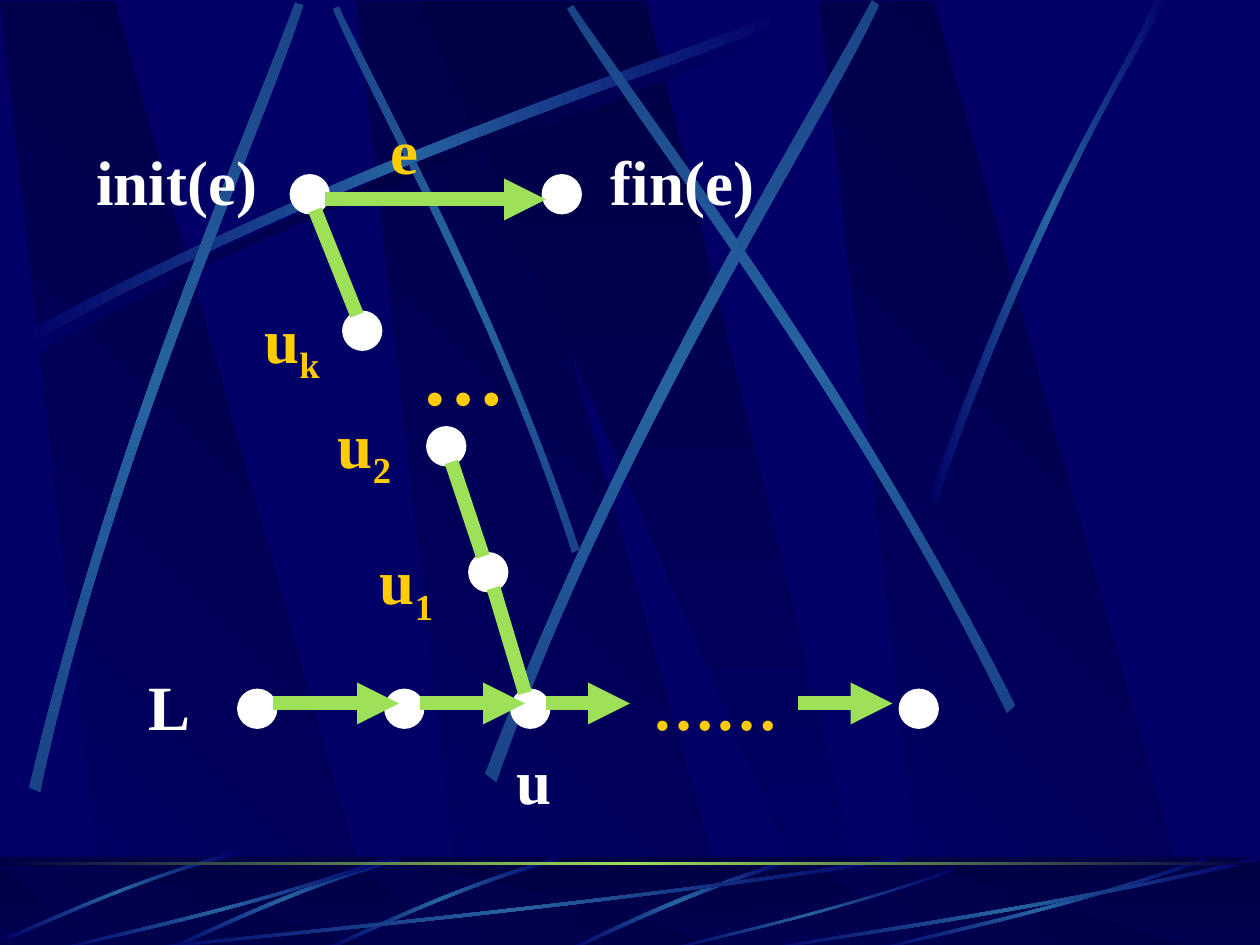
from typing import NamedTuple

from lxml.etree import SubElement
from pptx import Presentation
from pptx.dml.color import RGBColor
from pptx.enum.shapes import MSO_CONNECTOR as Link, MSO_SHAPE as Kind
from pptx.oxml.ns import qn
from pptx.util import Emu, Inches, Pt

NAVY = RGBColor(0x00, 0x00, 0x66)
DARK = RGBColor(0x00, 0x00, 0x44)
STEEL = RGBColor(0x26, 0x63, 0xA0)
DUSK = RGBColor(0x1A, 0x44, 0x88)
GREEN = RGBColor(0x9C, 0xE1, 0x57)
GOLD = RGBColor(0xFF, 0xCC, 0x00)
WHITE = RGBColor(0xFF, 0xFF, 0xFF)
FONT = "Times New Roman"

CELL = Inches(1) // 12   # diagram grid: 120 columns by 90 rows
FINE = Inches(1) // 100  # backdrop grid: 1000 columns by 750 rows


class Streak(NamedTuple):
    """Two cubic curves, out and back, each as eight numbers on the fine grid."""
    out: tuple
    back: tuple
    mid: RGBColor = STEEL
    end: RGBColor = NAVY
    angle: int = 180


class Edge(NamedTuple):
    start: tuple
    stop: tuple
    arrow: bool = False


class Label(NamedTuple):
    text: str
    col: int
    row: int
    wide: int
    color: RGBColor = GOLD
    sub: str = ""
    size: int = 36
    high: float = 8.4


HIGH = [
    Streak((20, 275, 284, 134, 524, 59, 626, 18), (629, 24, 528, 69, 254, 151, 23, 285), DARK),
    Streak((460, 436, 391, 234, 302, 77, 269, 5), (264, 7, 295, 79, 398, 258, 454, 439), STEEL, DUSK, 90),
    Streak((14, 267, 278, 125, 518, 51, 620, 10), (623, 16, 522, 61, 248, 143, 17, 277)),
    Streak((23, 625, 93, 334, 197, 105, 234, 2), (241, 4, 207, 109, 86, 368, 32, 629), STEEL, DUSK, 90),
    Streak((385, 614, 498, 320, 638, 102, 692, 0), (698, 4, 649, 108, 486, 355, 394, 621), STEEL, DUSK, 90),
    Streak((806, 560, 670, 293, 516, 95, 455, 4), (450, 7, 507, 101, 685, 325, 799, 566), STEEL, DUSK, 90),
    Streak((738, 394, 814, 173, 888, 66, 917, 0), (927, 0, 836, 145, 769, 322, 744, 397)),
]
LOW = [
    Streak((627, 682, 537, 709, 477, 742, 448, 754), (453, 755, 490, 737, 571, 700, 628, 685)),
    Streak((442, 680, 355, 705, 287, 740, 256, 753), (257, 755, 288, 743, 365, 703, 444, 683)),
    Streak((317, 680, 230, 705, 162, 740, 131, 753), (132, 755, 163, 743, 240, 703, 319, 683)),
    Streak((185, 676, 99, 700, 32, 733, 1, 745), (2, 747, 33, 736, 109, 697, 187, 679)),
    Streak((717, 683, 449, 723, 206, 744, 103, 755), (100, 754, 202, 741, 480, 718, 714, 680)),
    Streak((308, 683, 193, 723, 88, 744, 43, 755), (42, 754, 86, 741, 206, 718, 307, 680)),
    Streak((758, 691, 658, 726, 567, 745, 528, 755), (527, 754, 565, 743, 669, 722, 757, 689)),
    Streak((958, 683, 843, 723, 738, 744, 693, 755), (692, 754, 736, 741, 856, 718, 957, 680)),
    Streak((1000, 683, 827, 723, 669, 744, 602, 755), (600, 754, 666, 741, 846, 718, 998, 680)),
]
NODES = [(28, 17), (33, 30), (41, 41), (45, 53), (86, 66), (49, 66), (37, 66), (23, 66), (52, 17)]
EDGES = [
    Edge((31, 19), (52, 19), True),
    Edge((26, 67), (38, 67), True),
    Edge((40, 67), (50, 67), True),
    Edge((52, 67), (60, 67), True),
    Edge((76, 67), (85, 67), True),
    Edge((50, 66), (47, 56)),
    Edge((46, 53), (43, 44)),
    Edge((34, 30), (30, 20)),
]
LABELS = [
    Label("……", 61, 63, 15),
    Label("L", 13, 63, 9, WHITE),
    Label("u", 48, 70, 9, WHITE),
    Label("init(e)", 8, 13, 18, WHITE),
    Label("e", 36, 10, 9),
    Label("u", 35, 51, 8, sub="1", high=9.5),
    Label("u", 31, 38, 9, sub="2", high=9.5),
    Label("u", 24, 28, 9, sub="k", high=9.5),
    Label("…", 39, 30, 15, size=48, high=10.8),
    Label("fin(e)", 57, 13, 18, WHITE),
]


def shade(shape, colors: list, angle: int) -> None:
    """Fill with evenly spaced gradient stops and no outline."""
    shape.shadow.inherit = False
    shape.line.fill.background()
    shape.fill.gradient()
    grad = shape.element.spPr.find(qn("a:gradFill"))
    stops = grad.find(qn("a:gsLst"))
    for old in list(stops):
        stops.remove(old)
    for i, color in enumerate(colors):
        stop = SubElement(stops, qn("a:gs"), pos=str(100000 * i // (len(colors) - 1)))
        SubElement(stop, qn("a:srgbClr"), val=str(color))
    grad.find(qn("a:lin")).set("ang", str(angle * 60000))


def outline(shapes, dots: list):
    dots = [(x * FINE, y * FINE) for x, y in dots]
    pen = shapes.build_freeform(*dots[0], scale=1.0)
    pen.add_line_segments(dots[1:], close=True)
    return pen.convert_to_shape()


def bend(shape) -> None:
    """Join the first and last three line segments into cubic curves."""
    lines = list(shape.element.iter(qn("a:lnTo")))
    for trio in (lines[:3], lines[4:7]):
        cubic = SubElement(trio[0].getparent(), qn("a:cubicBezTo"))
        trio[0].addprevious(cubic)
        for line in trio:
            cubic.append(line[0])
            line.getparent().remove(line)


def streaks(shapes, items: list) -> None:
    for item in items:
        nums = item.out + item.back
        shape = outline(shapes, list(zip(nums[::2], nums[1::2])))
        bend(shape)
        shade(shape, [item.end, item.mid, item.end], item.angle)


def bands(shapes, top: int, base: int) -> None:
    rows = [((x, x + 91, x + 302, x + 86), 135) for x in (283, 0, 650)]
    for cols, angle in rows + [((333, 513, 694, 658), 90)]:
        shape = outline(shapes, list(zip(cols, (top, top, base, base))))
        shade(shape, [DARK, NAVY], angle)


def strip(shapes, top: int, high: float):
    return shapes.add_shape(Kind.RECTANGLE, 0, top * FINE, 1000 * FINE, Emu(int(high * FINE)))


def backdrop(shapes) -> None:
    bands(shapes, 1, 752)
    streaks(shapes, HIGH)
    shade(strip(shapes, 680, 75), [DARK, NAVY], 90)
    bands(shapes, 688, 755)
    veil = strip(shapes, 680, 75)
    veil.shadow.inherit = False
    veil.line.fill.background()
    veil.fill.solid()
    veil.fill.fore_color.rgb = DARK
    tint = veil.element.spPr.find(qn("a:solidFill"))[0]
    SubElement(tint, qn("a:alpha"), val="50000")
    streaks(shapes, LOW)
    shade(strip(shapes, 684, 2.4), [DARK, GREEN, DARK], 180)


def node(shapes, col: int, row: int) -> None:
    dot = shapes.add_shape(Kind.OVAL, col * CELL, row * CELL, 3 * CELL, 3 * CELL)
    dot.shadow.inherit = False
    dot.fill.solid()
    dot.fill.fore_color.rgb = dot.line.color.rgb = WHITE
    dot.line.width = Pt(5)


def link(shapes, edge: Edge) -> None:
    ends = [n * CELL for n in edge.start + edge.stop]
    line = shapes.add_connector(Link.STRAIGHT, *ends)
    line.line.color.rgb = GREEN
    line.line.width = Pt(8)
    if edge.arrow:
        stroke = line.element.spPr.find(qn("a:ln"))
        SubElement(stroke, qn("a:tailEnd"), type="triangle")
    SubElement(line.element.spPr, qn("a:effectLst"))


def write(para, text: str, *, size: int, color: RGBColor, drop: bool = False) -> None:
    run = para.add_run()
    run.text = text
    font = run.font
    font.name, font.size, font.bold = FONT, Pt(size), True
    font.color.rgb = color
    if drop:
        font._element.set("baseline", "-25000")


def label(shapes, item: Label) -> None:
    box = shapes.add_textbox(item.col * CELL, item.row * CELL, item.wide * CELL, Emu(int(item.high * CELL)))
    frame = box.text_frame
    frame.word_wrap = True
    para = frame.paragraphs[0]
    write(para, item.text, size=item.size, color=item.color)
    if item.sub:
        write(para, item.sub, size=item.size, color=item.color, drop=True)


def main() -> None:
    deck = Presentation()
    deck.slide_width, deck.slide_height = Inches(10), Inches(7.5)
    slide = deck.slides.add_slide(deck.slide_layouts[6])
    shapes, master = slide.shapes, deck.slide_master

    # Backdrop, kept on the master behind its placeholders
    master.background.fill.solid()
    master.background.fill.fore_color.rgb = NAVY
    backdrop(shapes)
    for i, shape in enumerate(list(shapes)):
        shape.element.nvSpPr.cNvPr.set("id", str(100 + i))
        master.shapes.element.insert(2 + i, shape.element)

    # Graph
    for col, row in NODES:
        node(shapes, col, row)
    for edge in EDGES:
        link(shapes, edge)
    for item in LABELS:
        label(shapes, item)
    deck.save("out.pptx")


if __name__ == "__main__":
    main()
